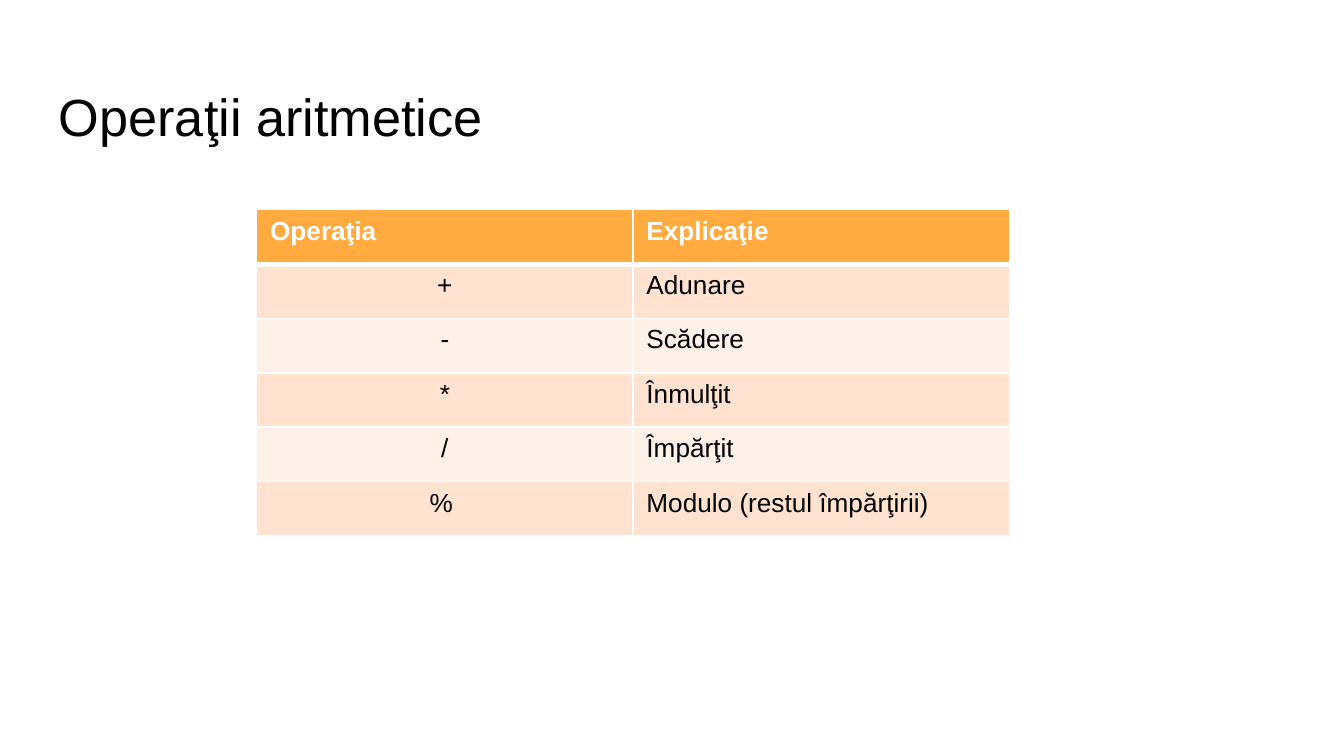
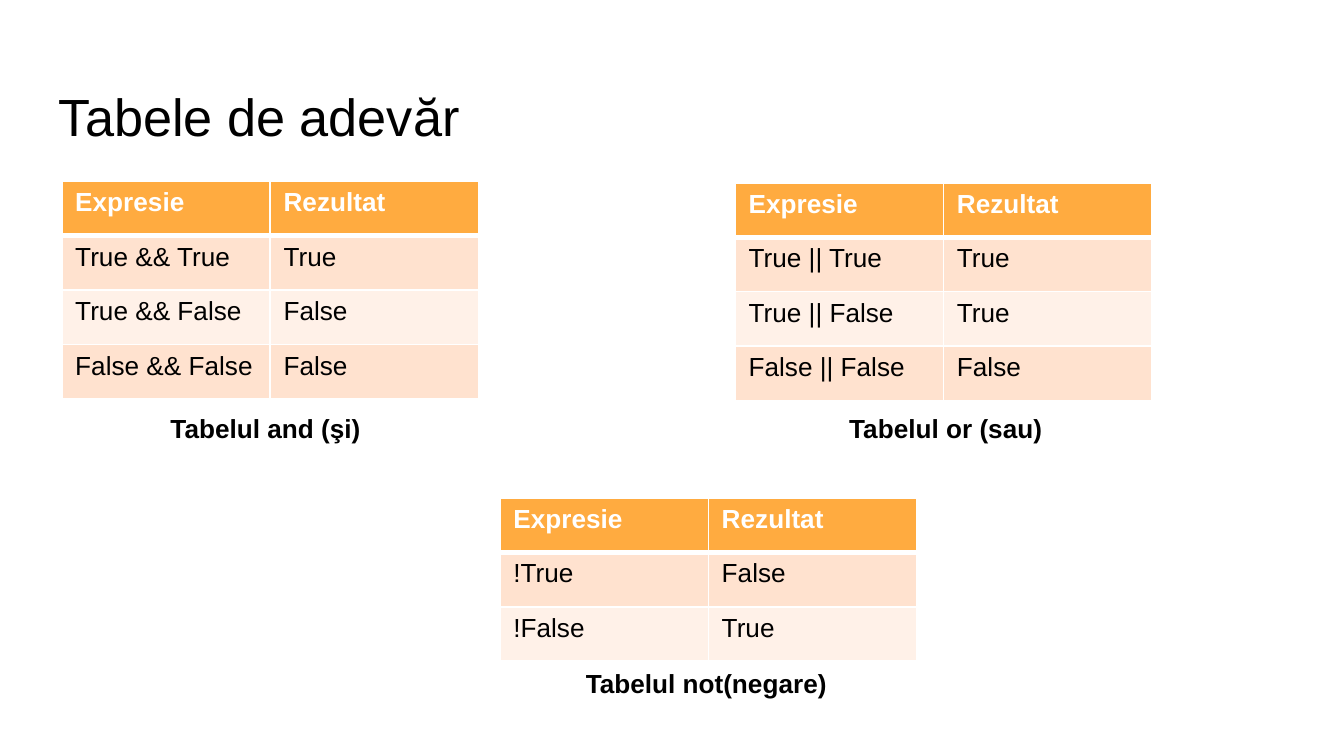
"""Builds two slides on arithmetic operations and truth tables."""
from lxml import etree
from pptx import Presentation
from pptx import util as u
from pptx.dml.color import RGBColor
from pptx.enum import text
from pptx.oxml.ns import qn

PX = 4572
FONT = "Arial"
BLACK, WHITE, HEADER = "000000", "FFFFFF", "FFAB40"
BANDS = ("FFE2CF", "FFF1E8")
TITLE_BOX = (68, 98, 1864, 126)
ROW_HEIGHT = 81
CAPTION_HEIGHT = 68
THIN, THICK = 1, 3

TRUTH_HEADER = ("Expresie", "Rezultat")
SLIDES = [
    {
        "title": "Operaţii aritmetice",
        "tables": [
            {
                "at": (382, 312), "column": 560, "centred": True,
                "rows": [
                    ("Operaţia", "Explicaţie"),
                    ("+", "Adunare"),
                    ("-", "Scădere"),
                    ("*", "Înmulţit"),
                    ("/", "Împărţit"),
                    ("% ", "Modulo (restul împărţirii)"),
                ],
            },
        ],
        "captions": [],
    },
    {
        "title": "Tabele de adevăr",
        "tables": [
            {
                "at": (92, 270), "column": 310, "centred": False,
                "rows": [
                    TRUTH_HEADER,
                    ("True && True", "True"),
                    ("True && False", "False"),
                    ("False && False", "False"),
                ],
            },
            {
                "at": (1094, 272), "column": 310, "centred": False,
                "rows": [
                    TRUTH_HEADER,
                    ("True || True", "True"),
                    ("True || False", "True"),
                    ("False || False", "False"),
                ],
            },
            {
                "at": (744, 741), "column": 310, "centred": False,
                "rows": [TRUTH_HEADER, ("!True", "False"), ("!False", "True")],
            },
        ],
        "captions": [
            ("Tabelul and (şi)", 234, 604, 336),
            ("Tabelul or (sau)", 1244, 604, 336),
            ("Tabelul not(negare)", 852, 984, 416),
        ],
    },
]


def px(*lengths):
    return [u.Emu(length * PX) for length in lengths]


def colour(value):
    return RGBColor.from_string(value)


def style(paragraph, size, value=BLACK, bold=False):
    font = paragraph.font
    font.name, font.size, font.bold = FONT, u.Pt(size), bold
    font.color.rgb = colour(value)


def add_text(slide, words, box, size, bold=False):
    frame = slide.shapes.add_textbox(*px(*box)).text_frame
    frame.word_wrap = True
    paragraph = frame.paragraphs[0]
    paragraph.text = words
    style(paragraph, size, bold=bold)
    return frame


def add_title(slide, words):
    frame = add_text(slide, words, TITLE_BOX, 28)
    frame.margin_left, frame.margin_right, frame.margin_top, frame.margin_bottom = px(20, 20, 28, 20)


def add_borders(cell, top, bottom):
    properties = cell._tc.get_or_add_tcPr()
    widths = {"a:lnL": THIN, "a:lnR": THIN, "a:lnT": top, "a:lnB": bottom}
    for index, (tag, width) in enumerate(widths.items()):
        line = etree.Element(qn(tag), w=str(u.Pt(width)))
        fill = etree.SubElement(line, qn("a:solidFill"))
        etree.SubElement(fill, qn("a:srgbClr"), val=WHITE)
        properties.insert(index, line)


def add_table(slide, at, column, centred, rows):
    columns = len(rows[0])
    box = px(*at, column * columns, ROW_HEIGHT * len(rows))
    table = slide.shapes.add_table(len(rows), columns, *box).table
    for row_index, row in enumerate(rows):
        is_header = row_index == 0
        fill = HEADER if is_header else BANDS[(row_index - 1) % len(BANDS)]
        for column_index, words in enumerate(row):
            cell = table.cell(row_index, column_index)
            cell.text = words
            cell.fill.solid()
            cell.fill.fore_color.rgb = colour(fill)
            paragraph = cell.text_frame.paragraphs[0]
            style(paragraph, 14, WHITE if is_header else BLACK, is_header)
            if centred and column_index == 0 and not is_header:
                paragraph.alignment = text.PP_ALIGN.CENTER
            add_borders(cell, THICK if row_index == 1 else THIN, THICK if is_header else THIN)


def main():
    presentation = Presentation()
    presentation.slide_width, presentation.slide_height = px(2000, 1125)
    for content in SLIDES:
        slide = presentation.slides.add_slide(presentation.slide_layouts[6])
        add_title(slide, content["title"])
        for table in content["tables"]:
            add_table(slide, **table)
        for words, left, top, width in content["captions"]:
            add_text(slide, words, (left, top, width, CAPTION_HEIGHT), 14, bold=True)
    presentation.save("out.pptx")


if __name__ == "__main__":
    main()
